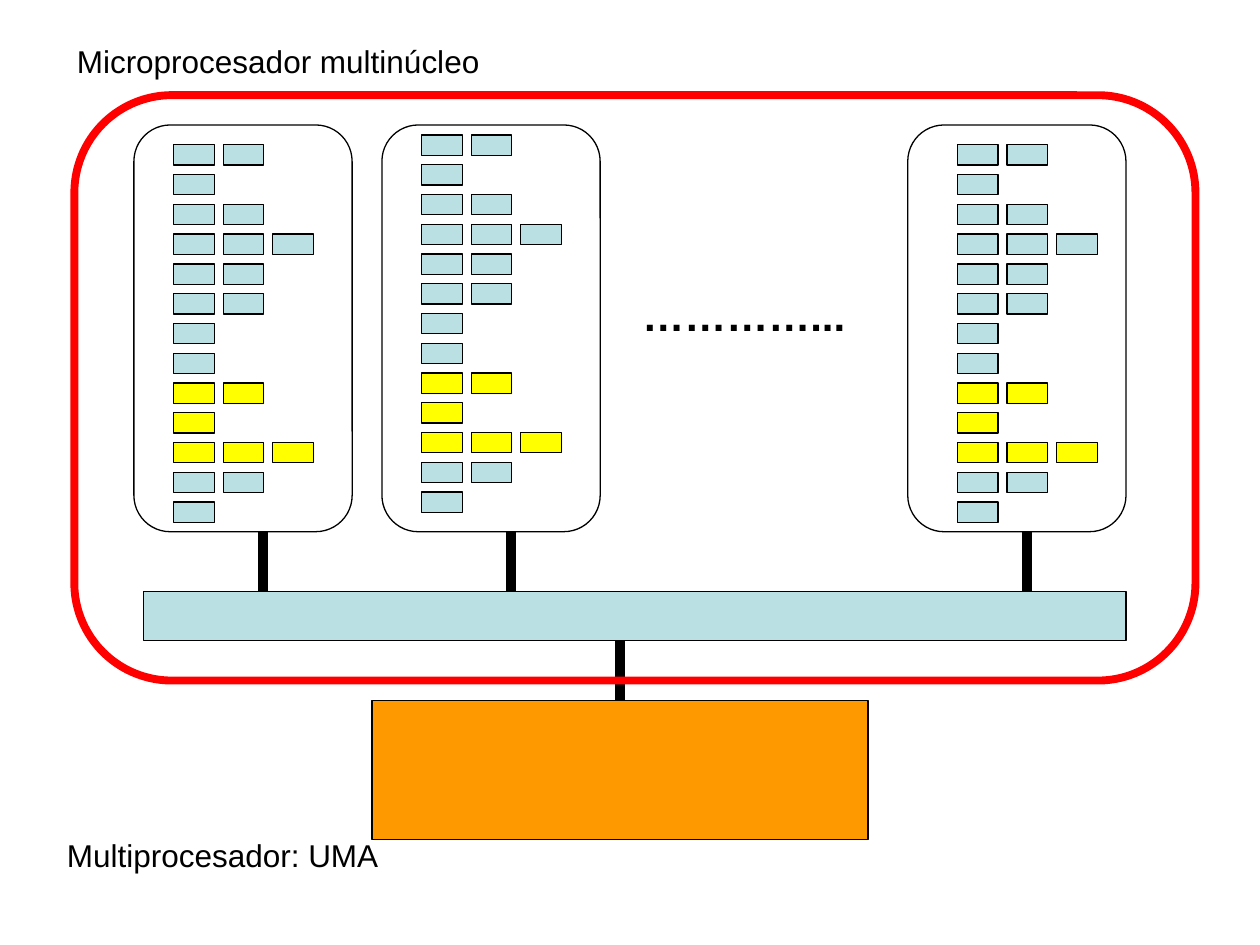
from dataclasses import dataclass

from lxml import etree
from pptx import Presentation
from pptx.dml.color import RGBColor
from pptx.enum.shapes import MSO_CONNECTOR, MSO_SHAPE
from pptx.enum.text import MSO_AUTO_SIZE
from pptx.oxml.ns import qn
from pptx.util import Cm, Inches, Pt

RECT = MSO_SHAPE.RECTANGLE
ROUNDED = MSO_SHAPE.ROUNDED_RECTANGLE
STRAIGHT = MSO_CONNECTOR.STRAIGHT
FIT_SHAPE = MSO_AUTO_SIZE.SHAPE_TO_FIT_TEXT


@dataclass(frozen=True)
class Theme:
    font: str = "Arial"
    ink: str = "000000"
    cool: str = "BBE0E3"
    active: str = "FFFF00"
    memory: str = "FF9900"
    chip: str = "FF0000"
    label_size: float = 18
    dots_size: float = 24
    outline: float = 0.75
    chip_outline: float = 4.5
    bus: float = 6


class Diagram:
    """Draws on a grid of one-centimetre columns and rows."""
    GRID_TOP = 0.02

    def __init__(self, slide, theme):
        self.slide = slide
        self.theme = theme

    def x(self, columns):
        return Cm(columns)

    def y(self, rows):
        return Cm(rows + self.GRID_TOP)

    def box(self, left, top, width, height, fill=None, kind=RECT, line=None, weight=None):
        shape = self.slide.shapes.add_shape(
            kind, self.x(left), self.y(top), Cm(width), Cm(height))
        shape.shadow.inherit = False
        if fill:
            shape.fill.solid()
            shape.fill.fore_color.rgb = RGBColor.from_string(fill)
        else:
            shape.fill.background()
        shape.line.color.rgb = RGBColor.from_string(line or self.theme.ink)
        shape.line.width = Pt(weight or self.theme.outline)
        return shape

    def bus(self, column, top, bottom):
        link = self.slide.shapes.add_connector(
            STRAIGHT, self.x(column), self.y(top), self.x(column), self.y(bottom))
        link.line.color.rgb = RGBColor.from_string(self.theme.ink)
        link.line.width = Pt(self.theme.bus)
        etree.SubElement(link._element.spPr, qn("a:effectLst"))

    def label(self, text, left, top, width, height, size, bold=False):
        frame = self.slide.shapes.add_textbox(
            self.x(left), self.y(top), Cm(width), Cm(height)).text_frame
        frame.word_wrap = True
        frame.auto_size = FIT_SHAPE
        frame.text = text
        paragraph = frame.paragraphs[0]
        paragraph.space_before = Pt(size * 0.625)
        font = paragraph.runs[0].font
        font.name, font.size, font.bold = self.theme.font, Pt(size), bold
        font.color.rgb = RGBColor.from_string(self.theme.ink)

    def threads(self, left, top):
        """Stack the issue rows of one core, each with its busy slots."""
        for row, slots in enumerate(SLOTS_PER_ROW):
            fill = self.theme.active if row in ACTIVE_ROWS else self.theme.cool
            for slot in range(slots):
                self.box(left + slot, top + row * ROW_PITCH, 0.82, 0.41, fill)


SLOTS_PER_ROW = (2, 1, 2, 3, 2, 2, 1, 1, 2, 1, 3, 2, 1)
ACTIVE_ROWS = range(8, 11)
ROW_PITCH = 0.6
CORE_TOP, CORE_BOTTOM = 2.5, 10.7
NETWORK_TOP, NETWORK_BOTTOM = 11.9, 12.9
MEMORY_TOP = 14.1
# core left, bus column, threads left, threads top
CORES = (
    (2.7, 5.3, 3.5, 2.9),
    (7.7, 10.3, 8.5, 2.7),
    (18.3, 20.7, 19.3, 2.9),
)


def main():
    presentation = Presentation()
    presentation.slide_width, presentation.slide_height = Inches(10), Inches(7.5)
    blank = presentation.slide_layouts[6]
    theme = Theme()
    diagram = Diagram(presentation.slides.add_slide(blank), theme)

    for core_left, _, _, _ in CORES:
        diagram.box(core_left, CORE_TOP, 4.4, CORE_BOTTOM - CORE_TOP, kind=ROUNDED)
    diagram.label("…………...", 12.7, 5.7, 4.8, 1.27, theme.dots_size, bold=True)

    diagram.box(2.9, NETWORK_TOP, 19.8, NETWORK_BOTTOM - NETWORK_TOP, theme.cool)
    for _, bus_column, _, _ in CORES:
        diagram.bus(bus_column, CORE_BOTTOM, NETWORK_TOP)
    diagram.box(7.5, MEMORY_TOP, 10, 2.8, theme.memory)
    diagram.bus(12.5, NETWORK_BOTTOM, MEMORY_TOP)
    diagram.label("Multiprocesador: UMA", 1.1, 16.7, 7.6, 1.02, theme.label_size)

    for _, _, threads_left, threads_top in CORES:
        diagram.threads(threads_left, threads_top)

    diagram.box(1.5, 1.9, 22.6, 11.8, kind=ROUNDED,
                line=theme.chip, weight=theme.chip_outline)
    diagram.label("Microprocesador multinúcleo", 1.3, 0.7, 11, 1.02, theme.label_size)

    presentation.save("out.pptx")


if __name__ == "__main__":
    main()
